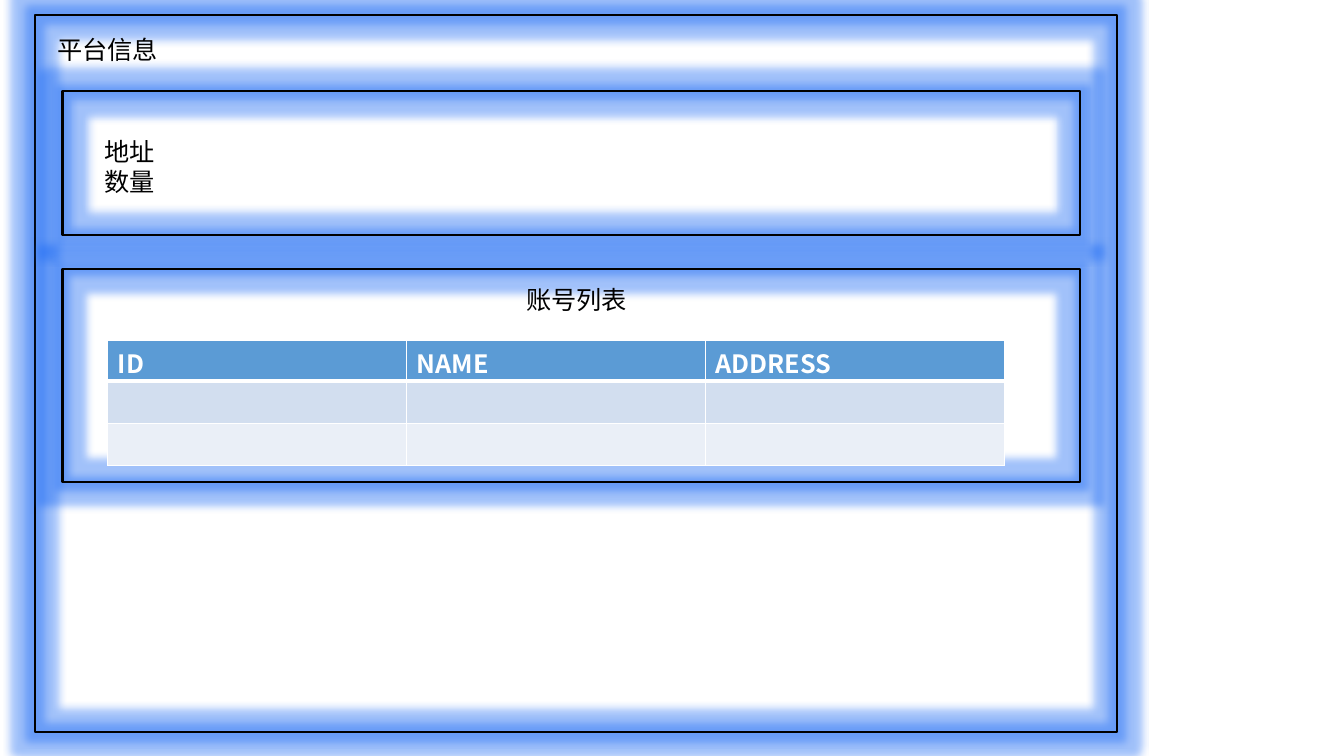
from lxml.etree import SubElement
from pptx import Presentation
from pptx.dml.color import RGBColor
from pptx.enum.shapes import MSO_SHAPE
from pptx.enum.text import MSO_AUTO_SIZE
from pptx.oxml.ns import qn
from pptx.util import Inches, Pt


def color(hex_string):
    """Turn a hex string into a colour."""
    return RGBColor.from_string(hex_string)


def add_color(parent, hex_string, alpha=None):
    """Append a colour element, optionally with an opacity in percent."""
    clr = SubElement(parent, qn("a:srgbClr"), val=str(color(hex_string)))
    if alpha is not None:
        SubElement(clr, qn("a:alpha"), val=str(alpha * 1000))


class SlideBuilder:
    """Hold the style and the current slide."""

    font = "Noto Sans CJK SC"
    size = 18
    ink = "000000"
    white = "FFFFFF"
    glow = "1465F4"
    row_fills = ("5B9BD5", "D2DEEF", "EAEFF7")

    def __init__(self, prs):
        """Add a blank slide."""
        self.s = prs.slides.add_slide(prs.slide_layouts[6])

    def style(self, tf, hex_string, spacing, bold=False):
        """Format every paragraph and run of a text frame."""
        for p in tf.paragraphs:
            p.line_spacing = Pt(spacing)
            for r in p.runs:
                r.font.name = self.font
                r.font.size = Pt(self.size)
                r.font.bold = bold
                r.font.color.rgb = color(hex_string)
                SubElement(r.font._element, qn("a:ea"), typeface=self.font)

    def panel(self, x, y, w, h):
        """Draw an outlined rectangle with a blue glow."""
        sp = self.s.shapes.add_shape(MSO_SHAPE.RECTANGLE, Inches(x), Inches(y),
                                     Inches(w), Inches(h))
        sp.shadow.inherit = False
        sp.fill.background()
        sp.line.color.rgb = color(self.ink)
        sp.line.width = Pt(1.5)
        effects = sp._element.spPr.find(qn("a:effectLst"))
        add_color(SubElement(effects, qn("a:glow"), rad=str(Pt(11))),
                  self.glow, 40)

    def label(self, text, x, y, w, h):
        """Place a text box that grows with its text."""
        tf = self.s.shapes.add_textbox(Inches(x), Inches(y), Inches(w),
                                       Inches(h)).text_frame
        tf.word_wrap = False
        tf.auto_size = MSO_AUTO_SIZE.SHAPE_TO_FIT_TEXT
        tf.text = text
        self.style(tf, self.ink, 21.6)

    def borders(self, cell, bottom):
        """Give a cell white borders, with its own bottom width."""
        tc_pr = cell._tc.get_or_add_tcPr()
        widths = {"a:lnL": 1, "a:lnR": 1, "a:lnT": 1, "a:lnB": bottom}
        for i, (tag, width) in enumerate(widths.items()):
            ln = tc_pr.makeelement(qn(tag), {"w": str(Pt(width))})
            add_color(SubElement(ln, qn("a:solidFill")), self.white)
            tc_pr.insert(i, ln)

    def table(self, headers, x, y, w, h):
        """Draw a table with a header row and empty body rows."""
        table = self.s.shapes.add_table(len(self.row_fills), len(headers),
                                        Inches(x), Inches(y), Inches(w),
                                        Inches(h)).table
        for i, fill in enumerate(self.row_fills):
            for j, header in enumerate(headers):
                cell = table.cell(i, j)
                cell.fill.solid()
                cell.fill.fore_color.rgb = color(fill)
                cell.margin_top = Inches(0.12)
                cell.margin_bottom = 0
                if i == 0:
                    cell.text_frame.text = header
                self.style(cell.text_frame, self.white, 20, bold=True)
                self.borders(cell, 3 if i == 0 else 1)


prs = Presentation()
prs.slide_width = Inches(13.33)
prs.slide_height = Inches(7.5)

slide = SlideBuilder(prs)
slide.panel(0.35, 0.15, 10.73, 7.11)
slide.label("平台信息", 0.47, 0.29, 1.21, 0.4)
slide.panel(0.62, 0.9, 10.09, 1.43)
slide.label("地址\n数量", 0.94, 1.3, 0.71, 0.71)
slide.panel(0.62, 2.67, 10.09, 2.11)
slide.table(("ID", "NAME", "ADDRESS"), 1.07, 3.38, 8.89, 1.2)
slide.label("账号列表", 5.12, 2.77, 1.21, 0.4)

prs.save("out.pptx")
